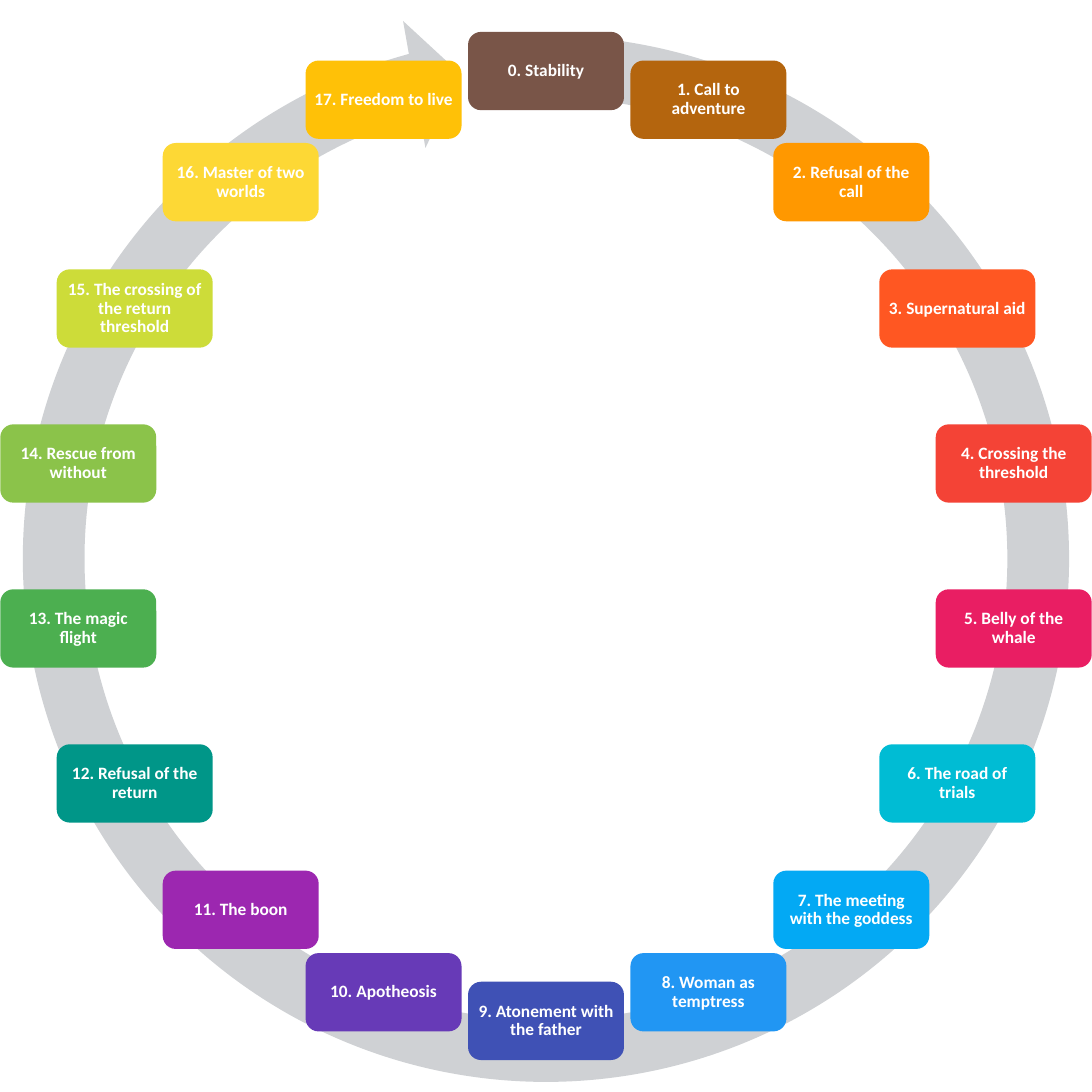
from math import cos, radians, sin

from pptx import Presentation
from pptx.dml.color import RGBColor
from pptx.enum.shapes import MSO_SHAPE as Preset
from pptx.enum.text import MSO_ANCHOR as Anchor, PP_ALIGN as Align
from pptx.util import Inches, Pt

SIDE = 15.75
RING_SIDE = 16.06
RING_TOP = 0.03
STAGE_RADIUS = 6.85
STAGE_WIDTH, STAGE_HEIGHT = 2.25, 1.13

COLORS = {
    "ring": "CFD1D4",
    "text": "FFFFFF",
    "brown": "795548",
    "copper": "B4650E",
    "orange": "FF9800",
    "deep orange": "FF5722",
    "red": "F44336",
    "pink": "E91E63",
    "cyan": "00BCD4",
    "light blue": "03A9F4",
    "blue": "2196F3",
    "indigo": "3F51B5",
    "deep purple": "673AB7",
    "purple": "9C27B0",
    "teal": "009688",
    "green": "4CAF50",
    "light green": "8BC34A",
    "lime": "CDDC39",
    "yellow": "FDD835",
    "amber": "FFC107",
}

STAGES = [
    ("Stability", "brown"),
    ("Call to adventure", "copper"),
    ("Refusal of the call", "orange"),
    ("Supernatural aid", "deep orange"),
    ("Crossing the threshold", "red"),
    ("Belly of the whale", "pink"),
    ("The road of trials", "cyan"),
    ("The meeting with the goddess", "light blue"),
    ("Woman as temptress", "blue"),
    ("Atonement with the father", "indigo"),
    ("Apotheosis", "deep purple"),
    ("The boon", "purple"),
    ("Refusal of the return", "teal"),
    ("The magic flight", "green"),
    ("Rescue from without", "light green"),
    ("The crossing of the return threshold", "lime"),
    ("Master of two worlds", "yellow"),
    ("Freedom to live", "amber"),
]


def add_filled_shape(slide, preset, left, top, width, height, color):
    shape = slide.shapes.add_shape(
        preset, Inches(left), Inches(top), Inches(width), Inches(height)
    )
    shape.shadow.inherit = False
    shape.fill.solid()
    shape.fill.fore_color.rgb = RGBColor.from_string(COLORS[color])
    shape.line.fill.background()
    return shape


def add_ring(slide, left, top, side):
    ring = add_filled_shape(
        slide, Preset.CIRCULAR_ARROW, left, top, side, side, "ring"
    )
    thickness, head = 0.89 / side, 0.93 / side
    for index, value in enumerate([thickness, 3.31, 152.69, 165.29, head]):
        ring.adjustments[index] = value


def add_stage(slide, left, top, text, color):
    stage = add_filled_shape(
        slide, Preset.ROUNDED_RECTANGLE, left, top, STAGE_WIDTH, STAGE_HEIGHT, color
    )
    frame = stage.text_frame
    frame.word_wrap = True
    frame.vertical_anchor = Anchor.MIDDLE
    frame.margin_left = frame.margin_right = Inches(0.07)
    frame.margin_top = frame.margin_bottom = Inches(0.07)
    paragraph = frame.paragraphs[0]
    paragraph.text = text
    paragraph.alignment = Align.CENTER
    paragraph.line_spacing = 0.9
    font = paragraph.font
    font.name, font.size, font.bold = "Calibri", Pt(18), True
    font.color.rgb = RGBColor.from_string(COLORS["text"])


def add_stages(slide, center_x, center_y, radius):
    for number, (title, color) in enumerate(STAGES):
        angle = radians(number * 360 / len(STAGES))
        left = center_x + radius * sin(angle) - STAGE_WIDTH / 2
        top = center_y - radius * cos(angle) - STAGE_HEIGHT / 2
        add_stage(slide, left, top, f"{number}. {title}", color)


def main():
    presentation = Presentation()
    presentation.slide_width = presentation.slide_height = Inches(SIDE)
    slide = presentation.slides.add_slide(presentation.slide_layouts[6])
    add_ring(slide, (SIDE - RING_SIDE) / 2, RING_TOP, RING_SIDE)
    add_stages(slide, SIDE / 2, SIDE / 2, STAGE_RADIUS)
    presentation.save("out.pptx")


if __name__ == "__main__":
    main()
